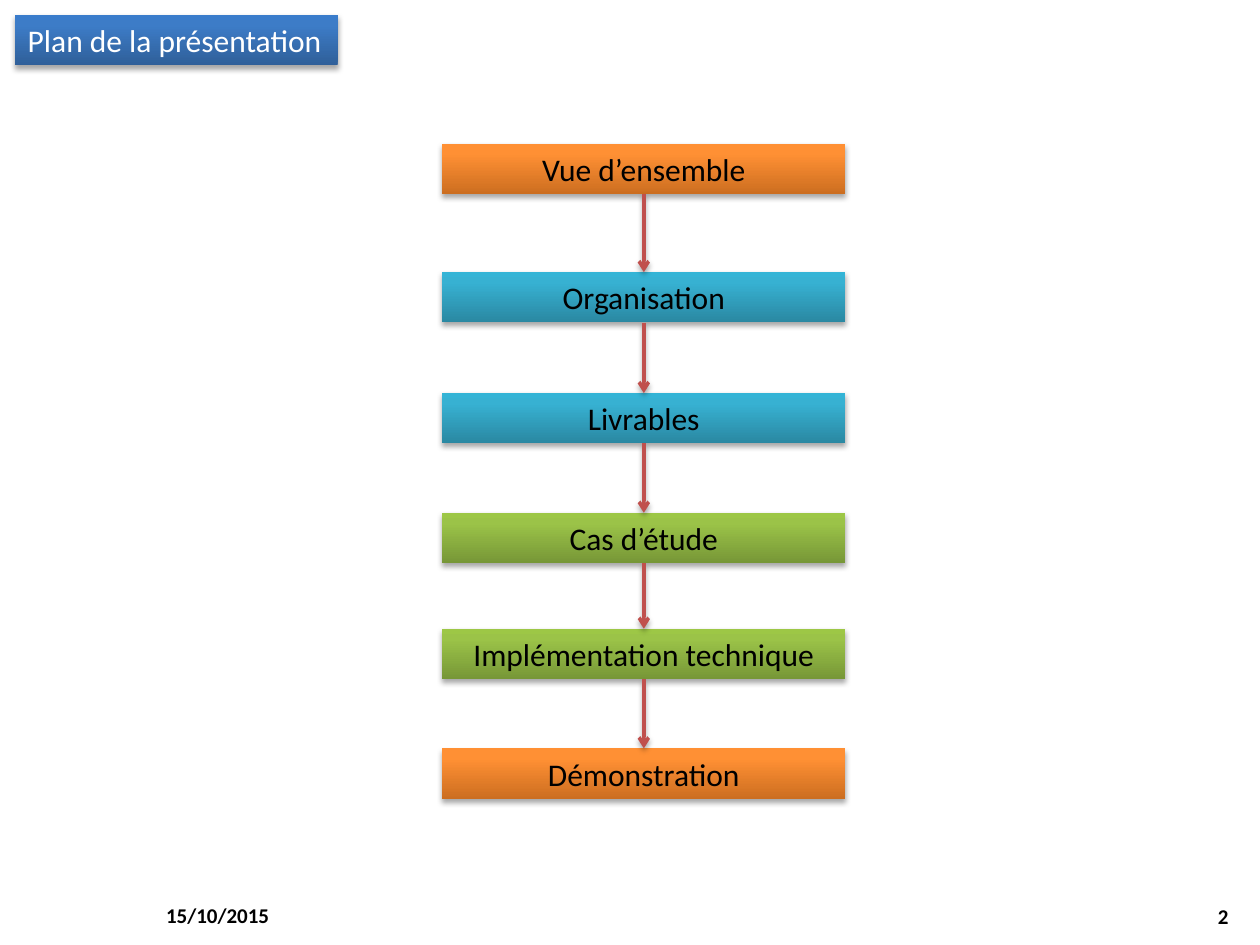
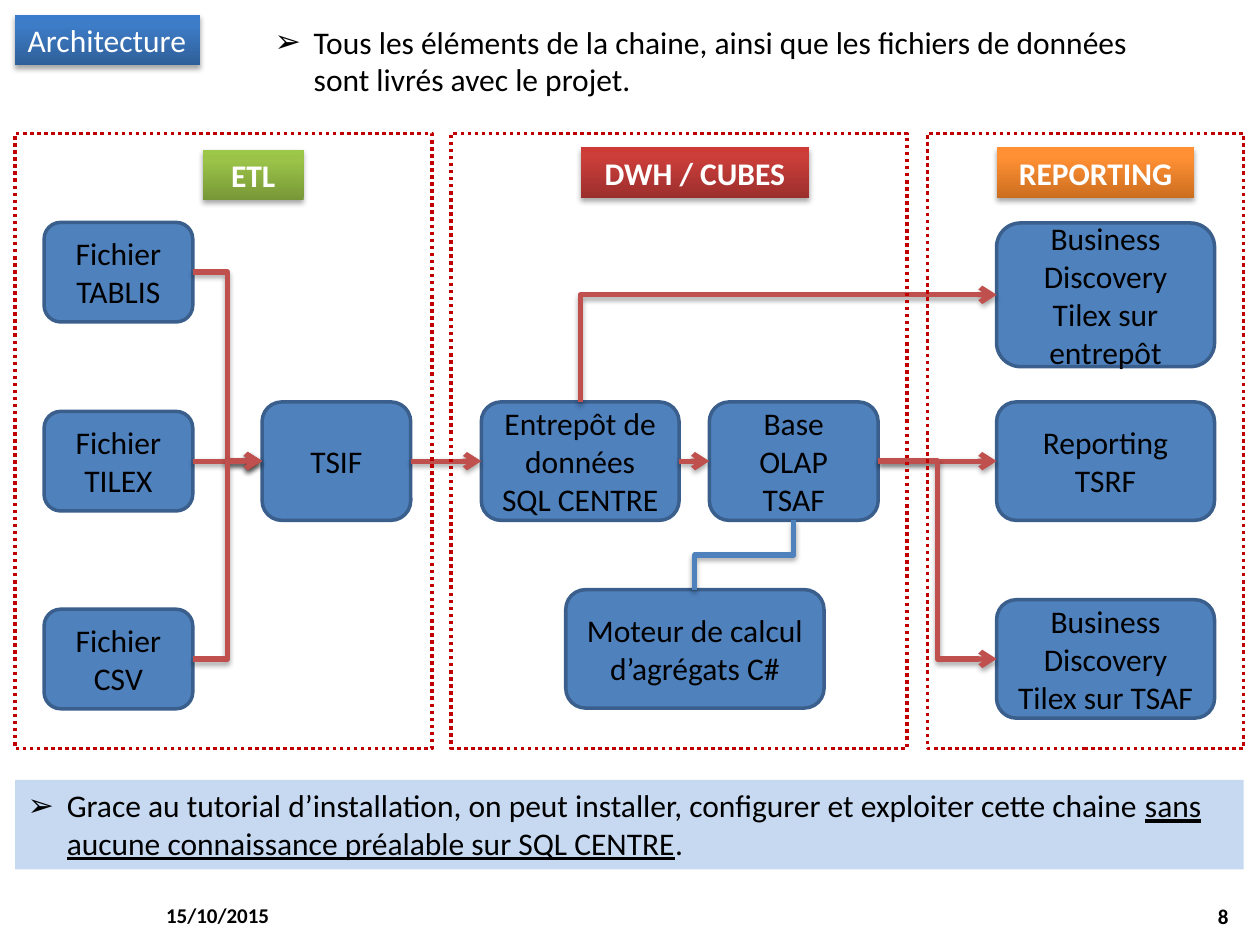
from lxml import etree
from pptx import Presentation
from pptx import util as u
from pptx.dml.color import RGBColor
from pptx.enum import dml, shapes, text
from pptx.oxml import parse_xml
from pptx.oxml.ns import nsdecls, qn

W, H = 10, 7.5
EDGE = 0.12          # left margin of titles and panels
BAR_H = 0.4          # height of every one-line label
FONT = "Calibri"

COLORS = {
    "black": "000000", "white": "FFFFFF", "node": "4F81BD", "node_line": "3A5F8C",
    "arrow": "C0504D", "panel": "C00000", "note": "C6D9F1",
}
# Gradient stops from bottom to top, at 0, 80 and 100 %
GRADIENTS = {
    "blue": ("2F5F99", "3D7CC7", "3A7CCB"),
    "green": ("779737", "9BC348", "9DC746"),
    "cyan": ("2A88A2", "37B1D2", "34B4D6"),
    "orange": ("CC6E20", "FF9034", "FF9136"),
    "red": ("9C2F2D", "CB3E3A", "CE3B37"),
}
DATE = "15/10/2015"

# Slide 1: label, top, gradient
STEPS = [
    ("Vue d’ensemble", 1.14, "orange"),
    ("Organisation", 2.16, "cyan"),
    ("Livrables", 3.12, "cyan"),
    ("Cas d’étude", 4.07, "green"),
    ("Implémentation technique", 4.99, "green"),
    ("Démonstration", 5.94, "orange"),
]
STEP_W, STEP_CENTER = 3.2, 5.11

# Slide 2: panel left and width; label, left, top, width, gradient
PANEL_TOP, PANEL_H = 1.06, 4.88
PANELS = [
    (EDGE, 3.31, ("ETL", 1.61, 1.19, 0.8, "green")),
    (3.58, 3.62, ("DWH / CUBES", 4.61, 1.17, 1.81, "red")),
    (7.36, 2.51, ("REPORTING", 7.91, 1.17, 1.57, "orange")),
]
# Node columns (left, width) and rows (vertical centre)
COLS = {"files": (0.35, 1.18), "load": (2.08, 1.18), "store": (3.82, 1.57),
        "cube": (5.63, 1.34), "engine": (4.49, 2.05), "report": (7.91, 1.73)}
ROWS = {"upper": 2.16, "discovery": 2.34, "middle": 3.66, "engine": 5.15, "lower": 5.23}
NODES = {
    "tables": ("files", "upper", 0.79, ["Fichier", "TABLIS"]),
    "sheet": ("files", "middle", 0.79, ["Fichier", "TILEX"]),
    "csv": ("files", "lower", 0.79, ["Fichier", "CSV"]),
    "load": ("load", "middle", 0.94, ["TSIF"]),
    "store": ("store", "middle", 0.94, ["Entrepôt de données", "SQL CENTRE"]),
    "cube": ("cube", "middle", 0.94, ["Base OLAP", "TSAF"]),
    "engine": ("engine", "engine", 0.94, ["Moteur de calcul d’agrégats C#"]),
    "store_view": ("report", "discovery", 1.14, ["Business Discovery Tilex sur entrepôt"]),
    "report": ("report", "middle", 0.94, ["Reporting", "TSRF"]),
    "cube_view": ("report", "lower", 0.94, ["Business Discovery Tilex sur TSAF"]),
}
# From, to, connector preset
LINKS = [
    ("tables", "load", "bentConnector3"), ("sheet", "load", "straightConnector1"),
    ("csv", "load", "bentConnector3"), ("load", "store", "straightConnector1"),
    ("store", "cube", "straightConnector1"), ("cube", "report", "straightConnector1"),
    ("cube", "cube_view", "bentConnector3"),
]
INTRO = [("Tous les éléments de la chaine, ainsi que les fichiers de données "
          "sont livrés avec le projet.", False)]
NOTE = [
    ("Grace au tutorial d’installation, on peut installer, configurer et exploiter "
     "cette chaine ", False),
    ("sans aucune connaissance préalable sur SQL CENTRE", True),
    (".", False),
]
TOP, LEFT, BOTTOM, RIGHT = range(4)   # connection sites of a rectangle


def rgb(name):
    return RGBColor.from_string(COLORS[name])


def place(sp, x, y, w, h):
    sp.left, sp.top, sp.width, sp.height = (u.Inches(v) for v in (x, y, w, h))


def write(sp, paragraphs, size=18, color="black", bold=False, align="LEFT",
          anchor="TOP", grow=False, bullet=None):
    """Fill a shape with paragraphs: strings, or lists of (text, underlined)."""
    tf = sp.text_frame
    tf.word_wrap = True
    tf.vertical_anchor = text.MSO_ANCHOR[anchor]
    tf.auto_size = text.MSO_AUTO_SIZE["SHAPE_TO_FIT_TEXT" if grow else "NONE"]
    for i, runs in enumerate(paragraphs):
        p = tf.paragraphs[0] if i == 0 else tf.add_paragraph()
        p.alignment = text.PP_ALIGN[align]
        if bullet:
            p.space_before = p.space_after = u.Pt(6)
            ppr = p._p.get_or_add_pPr()
            ppr.set("marL", str(u.Inches(0.31)))
            ppr.set("indent", str(-u.Inches(0.31)))
            etree.SubElement(ppr, qn("a:buChar")).set("char", bullet)
        for words, underlined in [(runs, False)] if isinstance(runs, str) else runs:
            r = p.add_run()
            r.text = words
            f = r.font
            f.name, f.size, f.bold = FONT, u.Pt(size), bold
            f.underline = underlined
            f.color.rgb = rgb(color)


def add_shadow(sp):
    spPr = sp.element.spPr
    for old in spPr.findall(qn("a:effectLst")):
        spPr.remove(old)
    spPr.append(parse_xml(
        f'<a:effectLst {nsdecls("a")}><a:outerShdw blurRad="{u.Pt(3.1)}" '
        f'dist="{u.Pt(1.8)}" dir="5400000" rotWithShape="0"><a:srgbClr val="000000">'
        '<a:alpha val="35000"/></a:srgbClr></a:outerShdw></a:effectLst>'))


def shade(sp, name):
    """Vertical gradient, no outline, soft shadow."""
    sp.fill.background()
    stops = "".join(f'<a:gs pos="{pos}000"><a:srgbClr val="{c}"/></a:gs>'
                    for pos, c in zip((0, 80, 100), GRADIENTS[name]))
    spPr = sp.element.spPr
    spPr.replace(spPr.find(qn("a:noFill")), parse_xml(
        f'<a:gradFill {nsdecls("a")} rotWithShape="1"><a:gsLst>{stops}</a:gsLst>'
        '<a:lin ang="16200000" scaled="0"/></a:gradFill>'))
    sp.line.fill.background()
    add_shadow(sp)


def add_box(s, x, y, w, h, preset="RECTANGLE", fill=None, line=None):
    sp = s.shapes.add_shape(shapes.MSO_SHAPE[preset], 0, 0, 0, 0)
    place(sp, x, y, w, h)
    sp.shadow.inherit = False
    if fill:
        sp.fill.solid()
        sp.fill.fore_color.rgb = rgb(fill)
    else:
        sp.fill.background()
    if line:
        sp.line.color.rgb = rgb(line)
        sp.line.width = u.Pt(2)
    else:
        sp.line.fill.background()
    return sp


def add_label(s, words, x, y, w, gradient, **fmt):
    sp = add_box(s, x, y, w, BAR_H)
    shade(sp, gradient)
    write(sp, [words], align="CENTER", grow=True, **fmt)
    return sp


def site(sp, index):
    return {TOP: (sp.left + sp.width // 2, sp.top),
            LEFT: (sp.left, sp.top + sp.height // 2),
            BOTTOM: (sp.left + sp.width // 2, sp.top + sp.height),
            RIGHT: (sp.left + sp.width, sp.top + sp.height // 2)}[index]


def add_link(s, a, a_site, b, b_site, preset="straightConnector1", color="arrow",
             width=3, arrow=True, upright=False):
    """Join two shapes; upright bends leave upwards and go to the right."""
    (x1, y1), (x2, y2) = site(a, a_site), site(b, b_site)
    c = s.shapes.add_connector(shapes.MSO_CONNECTOR.STRAIGHT, x1, y1, x2, y2)
    c.begin_connect(a, a_site)
    c.end_connect(b, b_site)
    c.element.spPr.find(qn("a:prstGeom")).set("prst", preset)
    if upright:
        w, h = abs(y2 - y1), abs(x2 - x1)
        xfrm = c.element.spPr.find(qn("a:xfrm"))
        for key, val in (("rot", "5400000"), ("flipH", "1"), ("flipV", "1")):
            xfrm.set(key, val)
        c.left, c.top = (x1 + x2 - w) // 2, (y1 + y2 - h) // 2
        c.width, c.height = w, h
    c.line.color.rgb = rgb(color)
    c.line.width = u.Pt(width)
    if arrow:
        etree.SubElement(c.line._get_or_add_ln(), qn("a:tailEnd")).set("type", "arrow")
    add_shadow(c)


def add_slide(prs, layout, title, title_w, number):
    """Slide with the shared title label, date and page number."""
    s = prs.slides.add_slide(prs.slide_layouts[layout])
    sp = s.shapes.title
    place(sp, EDGE, EDGE, title_w, BAR_H)
    shade(sp, "blue")
    write(sp, [title], color="white")
    sp.text_frame.margin_right = 0    # keeps the tight label on one line
    for words, x, y, align in ((DATE, 1.22, 7.06, "LEFT"), (number, 7.52, 7.07, "RIGHT")):
        box = s.shapes.add_textbox(0, 0, 0, 0)
        place(box, x, y, 2.33, 0.4)
        write(box, [words], size=12, bold=True, align=align, anchor="MIDDLE")
    return s


prs = Presentation()
prs.slide_width, prs.slide_height = u.Inches(W), u.Inches(H)

# Slide 1: outline as a chain of labels
s = add_slide(prs, 5, "Plan de la présentation", 2.56, "2")
steps = [add_label(s, words, STEP_CENTER - STEP_W / 2, y, STEP_W, gradient)
         for words, y, gradient in STEPS]
for a, b in zip(steps, steps[1:]):
    add_link(s, a, BOTTOM, b, TOP, width=2)

# Slide 2: architecture
s = add_slide(prs, 3, "Architecture", 1.47, "8")
intro, note = list(s.placeholders)[1:3]
place(intro, 2.08, 0.13, 7.25, 0.71)
place(note, EDGE, 6.19, 9.75, 0.71)
note.fill.solid()
note.fill.fore_color.rgb = rgb("note")
for sp, runs in ((intro, INTRO), (note, NOTE)):
    write(sp, [runs], bullet="➢")

nodes = {}
for key, (col, row, h, lines) in NODES.items():
    x, w = COLS[col]
    nodes[key] = add_box(s, x, ROWS[row] - h / 2, w, h, "ROUNDED_RECTANGLE",
                         "node", "node_line")
    write(nodes[key], lines, align="CENTER", anchor="MIDDLE")

for a, b, preset in LINKS:
    add_link(s, nodes[a], RIGHT, nodes[b], LEFT, preset)
add_link(s, nodes["store"], TOP, nodes["store_view"], LEFT, "bentConnector2", upright=True)
add_link(s, nodes["engine"], TOP, nodes["cube"], BOTTOM, "bentConnector3",
         color="node", arrow=False, upright=True)

# Dotted panels and their labels
for x, w, (words, label_x, label_y, label_w, gradient) in PANELS:
    panel = add_box(s, x, PANEL_TOP, w, PANEL_H, line="panel")
    panel.line.dash_style = dml.MSO_LINE.ROUND_DOT
    add_label(s, words, label_x, label_y, label_w, gradient, color="white", bold=True)

prs.save("out.pptx")
